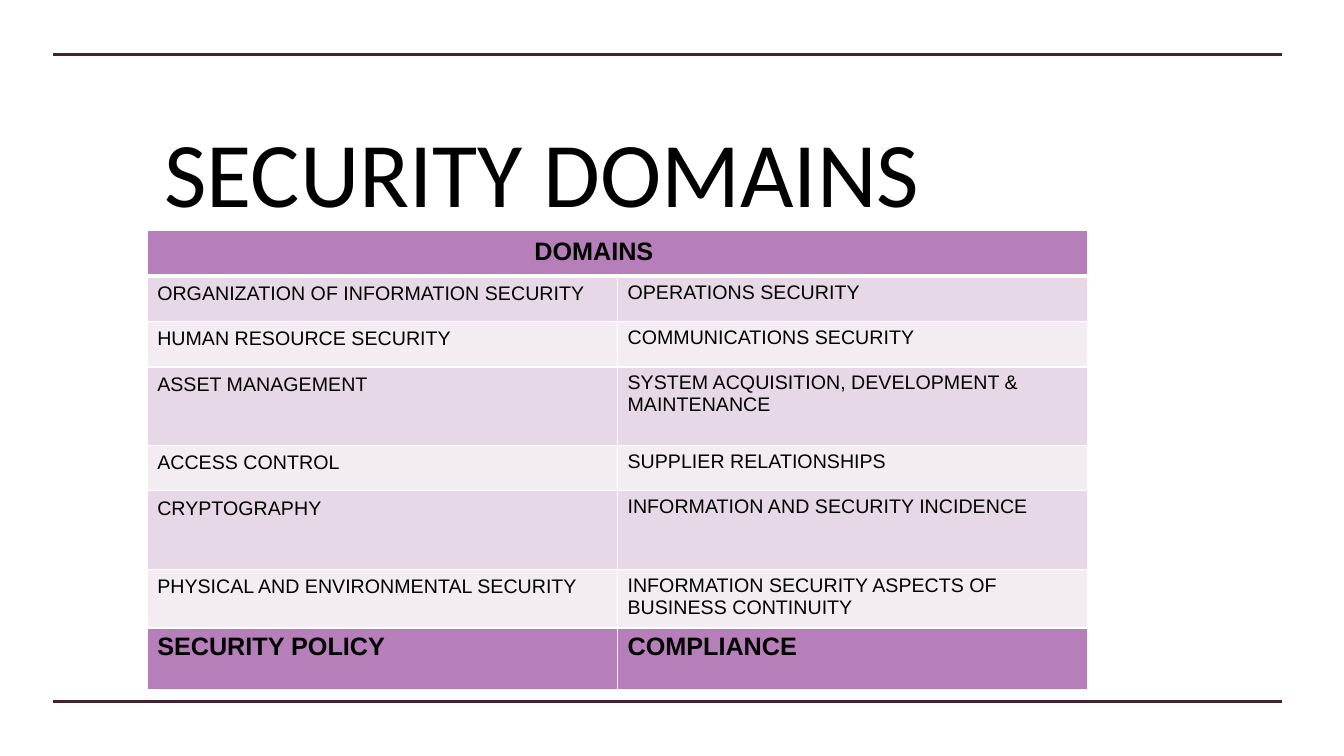
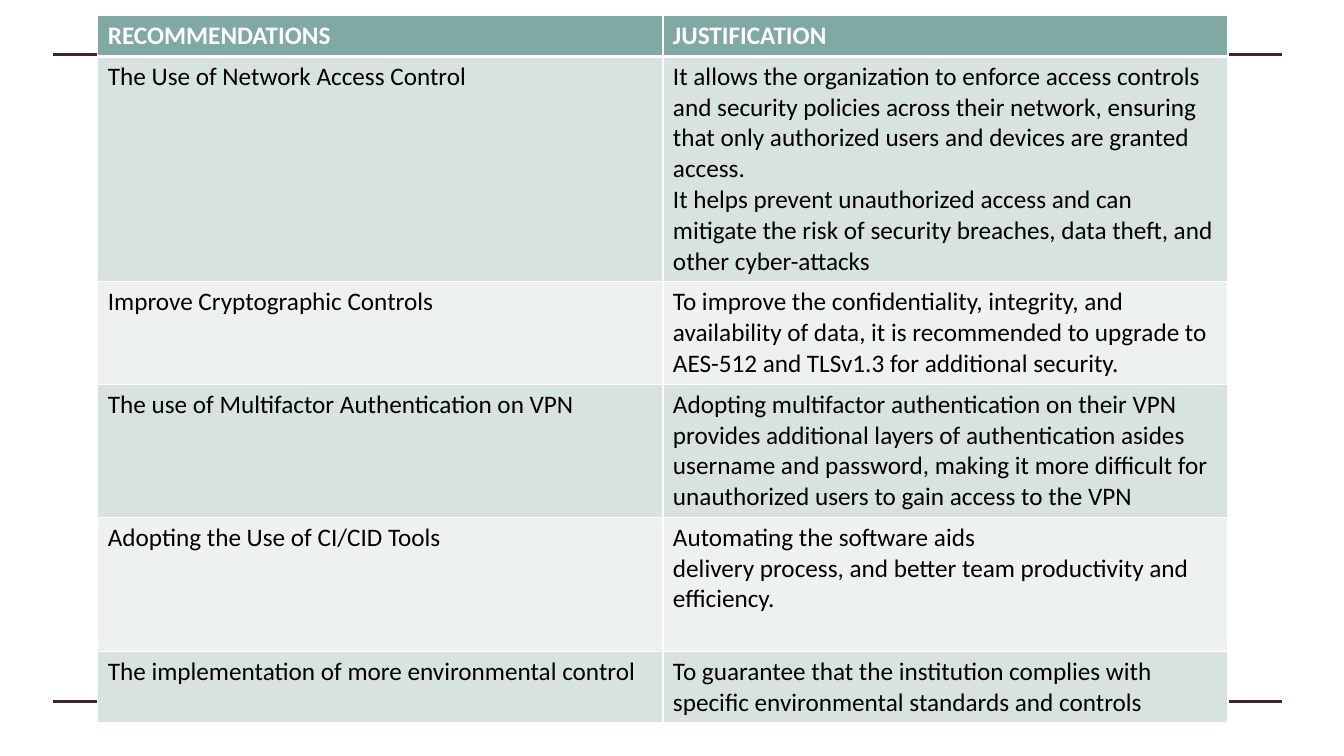
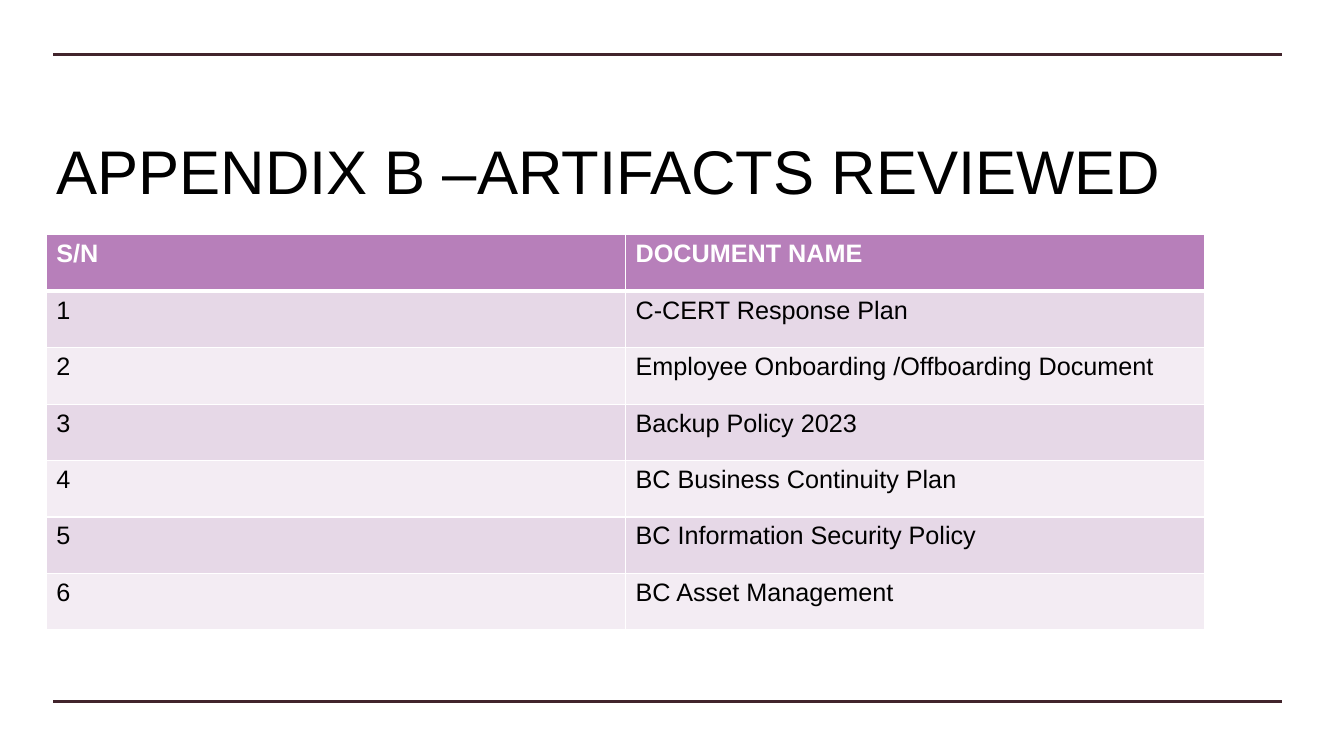
from dataclasses import dataclass

from lxml import etree
from pptx import Presentation
from pptx import util as u
from pptx.dml.color import RGBColor
from pptx.enum import shapes, text
from pptx.oxml import ns

Inches, Pt = u.Inches, u.Pt

RULE = RGBColor(0x41, 0x24, 0x2C)
BLACK = RGBColor(0, 0, 0)
WHITE = RGBColor(0xFF, 0xFF, 0xFF)
PURPLE = (RGBColor(0xB7, 0x7F, 0xBA), RGBColor(0xE6, 0xD8, 0xE7), RGBColor(0xF3, 0xEC, 0xF3))
GREEN = (RGBColor(0x80, 0xA9, 0xA4), RGBColor(0xD8, 0xE2, 0xE0), RGBColor(0xED, 0xF1, 0xF0))

DOMAINS = [
    ("DOMAINS", ""),
    ("ORGANIZATION OF INFORMATION SECURITY", "OPERATIONS SECURITY"),
    ("HUMAN RESOURCE SECURITY", "COMMUNICATIONS SECURITY"),
    ("ASSET MANAGEMENT", "SYSTEM ACQUISITION, DEVELOPMENT & MAINTENANCE"),
    ("ACCESS CONTROL", "SUPPLIER RELATIONSHIPS"),
    ("CRYPTOGRAPHY", "INFORMATION AND SECURITY INCIDENCE"),
    ("PHYSICAL AND ENVIRONMENTAL SECURITY", "INFORMATION SECURITY ASPECTS OF BUSINESS CONTINUITY"),
]
POLICY = [("SECURITY POLICY", "COMPLIANCE")]
ADVICE = [
    ("RECOMMENDATIONS", "JUSTIFICATION"),
    ("The Use of Network Access Control",
     "It allows the organization to enforce access controls and security policies across "
     "their network, ensuring that only authorized users and devices are granted access.\n"
     "It helps prevent unauthorized access and can mitigate the risk of security breaches, "
     "data theft, and other cyber-attacks"),
    ("Improve Cryptographic Controls",
     "To improve the confidentiality, integrity, and availability of data, it is recommended "
     "to upgrade to AES-512 and TLSv1.3 for additional security."),
    ("The use of Multifactor Authentication on VPN",
     "Adopting multifactor authentication on their VPN provides additional layers of "
     "authentication asides username and password, making it more difficult for "
     "unauthorized users to gain access to the VPN"),
    ("Adopting the Use of CI/CID Tools",
     "Automating the software aids\n"
     "delivery process, and better team productivity and efficiency."),
    ("The implementation of more environmental control",
     "To guarantee that the institution complies with specific environmental standards "
     "and controls"),
]
FILES = [
    "C-CERT Response Plan",
    "Employee Onboarding /Offboarding Document",
    "Backup Policy 2023",
    "BC Business Continuity Plan",
    "BC Information Security Policy",
    "BC Asset Management",
]


@dataclass
class Look:
    """Hold the colours and type of one table."""
    tints: tuple = PURPLE
    font: str = "Arial"
    head: RGBColor = WHITE
    size: int = 18


def add_rules(slide, master):
    """Put the top and bottom rules on the master."""
    for y in (0.54, 6.96):
        line = slide.shapes.add_connector(
            shapes.MSO_CONNECTOR.STRAIGHT, Inches(0.53), Inches(y), Inches(12.72), Inches(y))
        line.line.color.rgb = RULE
        line.line.width = Pt(2.25)
        etree.SubElement(line.element.spPr, ns.qn("a:effectLst"))
        master.element.cSld.spTree.append(line.element)


def add_run(para, words, font, size, color, bold=False):
    """Add one formatted run to a paragraph."""
    run = para.add_run()
    run.text = words
    run.font.name = font
    run.font.size = Pt(size)
    run.font.color.rgb = color
    run.font.bold = bold


def add_title(slide, words, left, font, size, inset=0.1):
    """Move the title placeholder and fill it."""
    title = slide.shapes.title
    title.left, title.top = Inches(left), Inches(0.46)
    title.width, title.height = Inches(11.63), Inches(2.36)
    frame = title.text_frame
    frame.word_wrap = True
    frame.auto_size = text.MSO_AUTO_SIZE.NONE
    frame.vertical_anchor = text.MSO_ANCHOR.MIDDLE
    frame.margin_left = Inches(inset)
    frame.margin_top = Inches(0.15)
    para = frame.paragraphs[0]
    para.alignment = text.PP_ALIGN.LEFT
    add_run(para, words, font, size, BLACK)


def add_edges(cell, top, bottom):
    """Draw the white borders of a cell."""
    props = cell._tc.get_or_add_tcPr()
    for side, width in (("L", 1), ("R", 1), ("T", top), ("B", bottom)):
        edge = etree.SubElement(props, ns.qn("a:ln" + side), w=str(Pt(width)))
        fill = etree.SubElement(edge, ns.qn("a:solidFill"))
        etree.SubElement(fill, ns.qn("a:srgbClr"), val=str(WHITE))


def add_grid(slide, box, rows, highs, look):
    """Add a two-column table with a heading row and banded rows."""
    left, top, width = box
    grid = slide.shapes.add_table(
        len(rows), 2, Inches(left), Inches(top), Inches(width), Inches(sum(highs))).table
    grid.first_row = grid.horz_banding = False
    for row, high in zip(grid.rows, highs):
        row.height = Inches(high)
    for i, row in enumerate(rows):
        head = i == 0
        tint = look.tints[0 if head else 2 - i % 2]
        for j, words in enumerate(row):
            cell = grid.cell(i, j)
            add_edges(cell, 3 if i == 1 else 1, 3 if head else 1)
            cell.fill.solid()
            cell.fill.fore_color.rgb = tint
            for k, part in enumerate(words.split("\n") if words else []):
                frame = cell.text_frame
                para = frame.add_paragraph() if k else frame.paragraphs[0]
                add_run(para, part, look.font, 18 if head else look.size,
                        look.head if head else BLACK, head)
    return grid


def build_domains(slide):
    """Build the security domains slide."""
    add_title(slide, "SECURITY DOMAINS", 0.53, "Calibri", 66, 1.1)
    look = Look(head=BLACK, size=14)
    highs = [0.45, 0.45, 0.45, 0.78, 0.45, 0.78, 0.78]
    grid = add_grid(slide, (1.46, 2.29, 9.33), DOMAINS, highs, look)
    head = grid.cell(0, 0)
    head.merge(grid.cell(0, 1))
    head.margin_left = Inches(3.84)
    for i in range(len(DOMAINS)):
        grid.cell(i, 0).text_frame.paragraphs[0].line_spacing = 1.07
    add_grid(slide, (1.46, 6.23, 9.33), POLICY, [0.62], look)


def build_advice(slide):
    """Build the recommendations slide."""
    highs = [0.41, 2.22, 1.01, 1.32, 1.33, 0.7]
    add_grid(slide, (0.97, 0.15, 11.21), ADVICE, highs, Look(GREEN, "Calibri"))


def build_files(slide):
    """Build the appendix slide."""
    add_title(slide, "APPENDIX B –ARTIFACTS REVIEWED", 0.46, "Arial", 44)
    rows = [("S/N", "DOCUMENT NAME")]
    rows += [(str(n), name) for n, name in enumerate(FILES, 1)]
    add_grid(slide, (0.46, 2.33, 11.49), rows, [0.56] * len(rows), Look())


def main():
    """Build and save the deck."""
    deck = Presentation()
    deck.slide_width, deck.slide_height = Inches(13.33), Inches(7.5)
    plan = ((5, build_domains), (6, build_advice), (5, build_files))
    for n, (kind, build) in enumerate(plan):
        slide = deck.slides.add_slide(deck.slide_layouts[kind])
        if n == 0:
            add_rules(slide, deck.slide_master)
        build(slide)
    deck.save("out.pptx")


if __name__ == "__main__":
    main()
